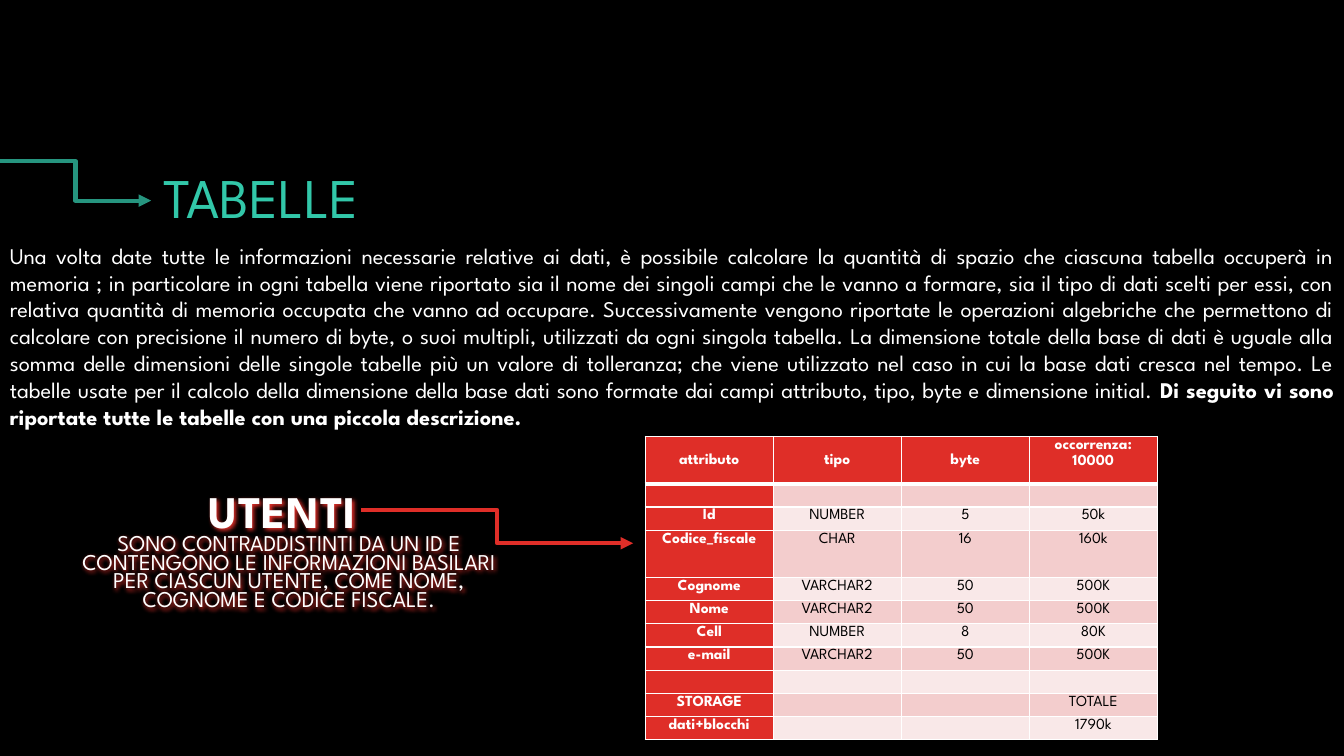
from lxml import etree
from pptx import Presentation
from pptx.dml.color import RGBColor
from pptx.enum.shapes import MSO_CONNECTOR
from pptx.enum.text import MSO_ANCHOR, MSO_AUTO_SIZE, PP_ALIGN
from pptx.oxml import parse_xml
from pptx.oxml.ns import nsdecls, qn
from pptx.util import Inches, Pt

FONT = "League Spartan"
BLACK = RGBColor(0x00, 0x00, 0x00)
WHITE = RGBColor(0xFF, 0xFF, 0xFF)
RED = RGBColor(0xDF, 0x2E, 0x28)
TEAL = RGBColor(0x32, 0xC7, 0xA9)
DARK_TEAL = RGBColor(0x26, 0x95, 0x7F)
BANDS = (RGBColor(0xF9, 0xE8, 0xE8), RGBColor(0xF3, 0xCD, 0xCD))

TITLE = "TABELLE"
INTRO = [
    "Una volta date tutte le informazioni necessarie relative ai dati, è possibile "
    "calcolare la quantità di spazio che ciascuna tabella occuperà in memoria ; in "
    "particolare in ogni tabella viene riportato sia il nome dei singoli campi che le "
    "vanno a formare, sia il tipo di dati scelti per essi, con relativa quantità di "
    "memoria occupata che vanno ad occupare.",
    "Successivamente vengono riportate le operazioni algebriche che permettono di "
    "calcolare con precisione il numero di byte, o suoi multipli, utilizzati da ogni "
    "singola tabella.",
    "La dimensione totale della base di dati è uguale alla somma delle dimensioni "
    "delle singole tabelle più un valore di tolleranza; che viene utilizzato nel caso "
    "in cui la base dati cresca nel tempo.",
    "Le tabelle usate per il calcolo della dimensione della base dati sono formate "
    "dai campi attributo, tipo, byte e dimensione initial.",
]
INTRO_END = "Di seguito vi sono riportate tutte le tabelle con una piccola descrizione."
USERS = "UTENTI "
USERS_TEXT = (
    "SONO CONTRADDISTINTI DA UN ID E CONTENGONO LE INFORMAZIONI BASILARI "
    "PER CIASCUN UTENTE, COME NOME, COGNOME E CODICE FISCALE."
)
ROWS = [
    ("attributo", "tipo", "byte", "occorrenza: 10000"),
    ("", "", "", ""),
    ("Id", "NUMBER", "5", "50k"),
    ("Codice_fiscale", "CHAR", "16", "160k"),
    ("Cognome", "VARCHAR2", "50", "500K"),
    ("Nome", "VARCHAR2", "50", "500K"),
    ("Cell", "NUMBER", "8", "80K"),
    ("e-mail", "VARCHAR2", "50", "500K"),
    ("", "", "", ""),
    ("STORAGE", "", "", "TOTALE"),
    ("dati+blocchi", "", "", "1790k"),
]
TALL_ROWS = (0, 3)
ARROWS = [
    (0, 1.6, 1.5, 1.99, DARK_TEAL),
    (3.58, 5.06, 6.28, 5.39, RED),
]


def style_run(r, size, color, bold=False):
    """Set the font of a run."""
    r.font.name = FONT
    r.font.size = Pt(size)
    r.font.bold = bold
    r.font.color.rgb = color


def add_text(s, left, top, width, height, anchor):
    """Add a wrapping text box and return it."""
    box = s.shapes.add_textbox(Inches(left), Inches(top), Inches(width), Inches(height))
    box.text_frame.word_wrap = True
    box.text_frame.vertical_anchor = anchor
    return box


def add_title(s):
    """Place and format the slide title."""
    title = s.shapes.title
    title.left, title.top = Inches(1.52), Inches(1.28)
    title.width, title.height = Inches(2.28), Inches(1.41)
    tf = title.text_frame
    tf.text = TITLE
    tf.auto_size = MSO_AUTO_SIZE.NONE
    tf.vertical_anchor = MSO_ANCHOR.MIDDLE
    p = tf.paragraphs[0]
    p.alignment = PP_ALIGN.LEFT
    p.line_spacing = 0.9
    style_run(p.runs[0], 40, TEAL)


def add_intro(s):
    """Add the justified introduction."""
    box = add_text(s, 0, 2.35, 13.33, 1.96, MSO_ANCHOR.TOP)
    p = box.text_frame.paragraphs[0]
    p.alignment = PP_ALIGN.JUSTIFY
    for text, bold in ((" ".join(INTRO) + " ", False), (INTRO_END, True)):
        r = p.add_run()
        r.text = text
        style_run(r, 16, WHITE, bold)


def add_users(s):
    """Add the users heading and description with a red shadow."""
    box = add_text(s, 0.59, 4.8, 4.55, 1.89, MSO_ANCHOR.TOP)
    tf = box.text_frame
    tf.margin_top = Inches(0.14)
    tf.text = f"{USERS}\n{USERS_TEXT}"
    for p, size, bold in zip(tf.paragraphs, (32.3, 16.1), (True, False)):
        p.alignment = PP_ALIGN.CENTER
        p.line_spacing = 0.7
        style_run(p.runs[0], size, WHITE, bold)
    tf.paragraphs[0].runs[0].font._element.set("spc", "50")
    box._element.spPr.append(parse_xml(
        f'<a:effectLst {nsdecls("a")}><a:outerShdw blurRad="38100" dist="19050" '
        f'dir="2700000"><a:srgbClr val="{RED}"/></a:outerShdw></a:effectLst>'))


def add_borders(cell, row):
    """Draw white cell borders, thicker below the header."""
    tc_pr = cell._tc.get_or_add_tcPr()
    for side in "LRTB":
        thick = (row, side) in ((0, "B"), (1, "T"))
        tc_pr.append(parse_xml(
            f'<a:ln{side} {nsdecls("a")} w="{Pt(3 if thick else 1)}"><a:solidFill>'
            f'<a:srgbClr val="{WHITE}"/></a:solidFill></a:ln{side}>'))


def add_fields_table(s):
    """Add the table of fields, types and sizes."""
    heights = [0.47 if i in TALL_ROWS else 0.23 for i in range(len(ROWS))]
    table = s.shapes.add_table(len(ROWS), 4, Inches(6.4), Inches(4.33),
                               Inches(5.08), Inches(sum(heights))).table
    for column in table.columns:
        column.width = Inches(1.27)
    for i, (row, height) in enumerate(zip(ROWS, heights)):
        table.rows[i].height = Inches(height)
        for j, text in enumerate(row):
            cell = table.cell(i, j)
            heading = i == 0 or j == 0
            add_borders(cell, i)
            cell.fill.solid()
            cell.fill.fore_color.rgb = RED if heading else BANDS[i % 2]
            cell.margin_left = cell.margin_right = Inches(0.07)
            cell.margin_top = cell.margin_bottom = 0
            centred = i == 0 and j < 3
            cell.vertical_anchor = MSO_ANCHOR.MIDDLE if centred else MSO_ANCHOR.TOP
            p = cell.text_frame.paragraphs[0]
            p.text = text
            p.alignment = PP_ALIGN.CENTER
            p.line_spacing = 1.15
            for r in p.runs:
                style_run(r, 11, WHITE if heading else BLACK, heading)
            if not text:
                etree.SubElement(p._p, qn("a:endParaRPr"), sz="1100")


def add_arrow(s, x1, y1, x2, y2, color):
    """Add an elbow arrow."""
    arrow = s.shapes.add_connector(MSO_CONNECTOR.ELBOW, Inches(x1), Inches(y1),
                                   Inches(x2), Inches(y2))
    arrow.line.color.rgb = color
    arrow.line.width = Pt(3)
    etree.SubElement(arrow.line._get_or_add_ln(), qn("a:tailEnd"), type="triangle")
    etree.SubElement(arrow._element.spPr, qn("a:effectLst"))


def main():
    """Build the slide and save it."""
    prs = Presentation()
    prs.slide_width, prs.slide_height = Inches(13.33), Inches(7.5)
    s = prs.slides.add_slide(prs.slide_layouts[5])
    s.background.fill.solid()
    s.background.fill.fore_color.rgb = BLACK
    add_title(s)
    add_intro(s)
    add_fields_table(s)
    add_users(s)
    for arrow in ARROWS:
        add_arrow(s, *arrow)
    prs.save("out.pptx")


if __name__ == "__main__":
    main()
